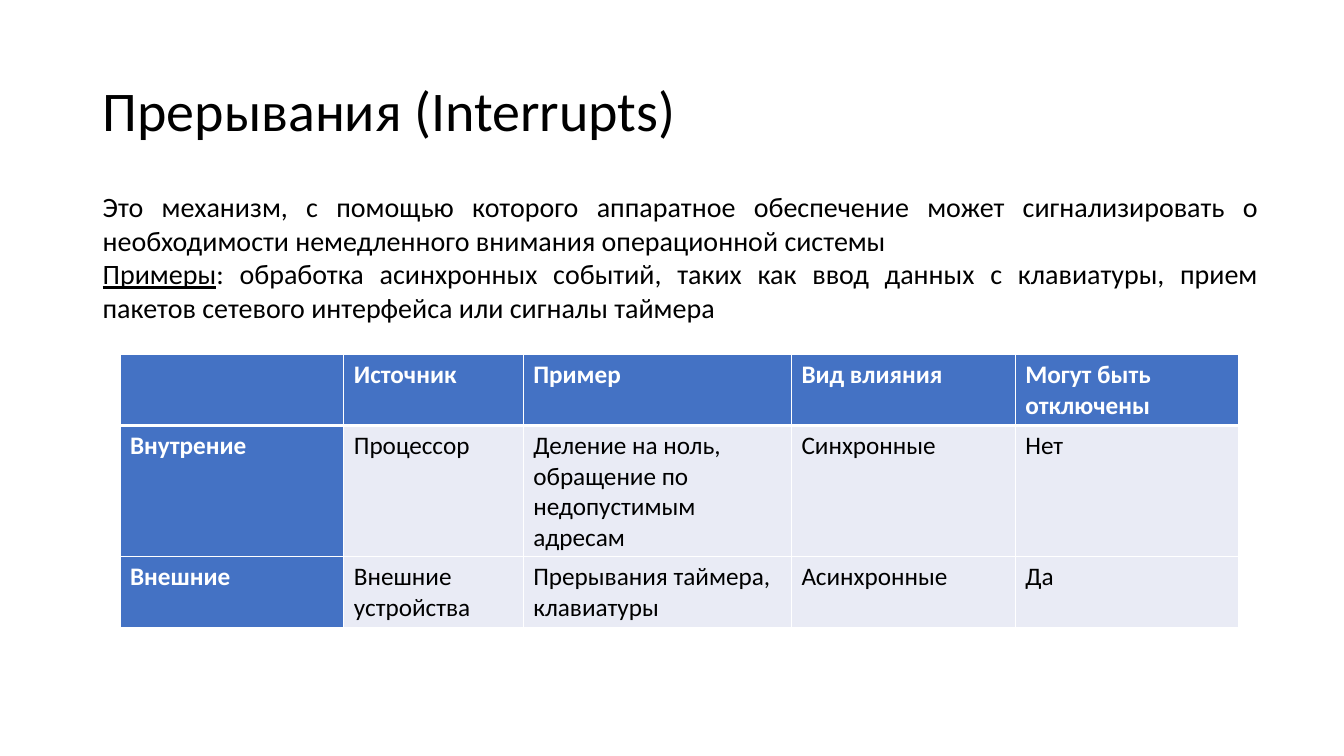
from lxml.etree import SubElement
from pptx import Presentation
from pptx.dml.color import RGBColor
from pptx.enum.text import MSO_ANCHOR, MSO_AUTO_SIZE, PP_ALIGN
from pptx.oxml.ns import qn
from pptx.util import Pt

EMU_PER_PX = 9144  # 100 px to the inch
BLACK, WHITE, BLUE, PALE = "000000", "FFFFFF", "4472C4", "E9EBF5"

DEFINITION = [
    [("Это механизм, с помощью которого аппаратное обеспечение может "
      "сигнализировать о необходимости немедленного внимания операционной системы", False)],
    [("Примеры", True),
     (": обработка асинхронных событий, таких как ввод данных с клавиатуры, "
      "прием пакетов сетевого интерфейса или сигналы таймера", False)],
]
INTERRUPT_ROWS = [
    ["", "Источник", "Пример", "Вид влияния", "Могут быть отключены"],
    ["Внутрение", "Процессор", "Деление на ноль, обращение по недопустимым адресам",
     "Синхронные", "Нет"],
    ["Внешние", "Внешние устройства", "Прерывания таймера, клавиатуры",
     "Асинхронные", "Да"],
]
COLUMN_WIDTHS = [222, 178, 266, 222, 222]
ROW_HEIGHTS = [70, 130, 70]


def px(length):
    return length * EMU_PER_PX


def color(hex_string):
    return RGBColor.from_string(hex_string)


def add_text(paragraph, text, size=18, ink=BLACK, bold=False, underline=False):
    run = paragraph.add_run()
    run.text = text
    font = run.font
    font.name, font.size = "Calibri", Pt(size)
    font.bold, font.underline = bold, underline
    font.color.rgb = color(ink)


def add_border(cell, side, points):
    line = SubElement(cell._tc.get_or_add_tcPr(), qn(f"a:ln{side}"), w=str(Pt(points)))
    fill = SubElement(line, qn("a:solidFill"))
    SubElement(fill, qn("a:srgbClr"), val=WHITE)


class SlideBuilder:
    def __init__(self, presentation):
        self.slide = presentation.slides.add_slide(presentation.slide_layouts[5])

    def title(self, text, left, top, width, height):
        shape = self.slide.shapes.title
        shape.left, shape.top, shape.width, shape.height = map(px, (left, top, width, height))
        shape.text_frame.vertical_anchor = MSO_ANCHOR.MIDDLE
        paragraph = shape.text_frame.paragraphs[0]
        paragraph.alignment = PP_ALIGN.LEFT
        paragraph.line_spacing = 0.9
        add_text(paragraph, text, size=40)

    def justified_text(self, paragraphs, left, top, width, height):
        box = self.slide.shapes.add_textbox(*map(px, (left, top, width, height)))
        frame = box.text_frame
        frame.word_wrap = True
        frame.auto_size = MSO_AUTO_SIZE.SHAPE_TO_FIT_TEXT
        for index, parts in enumerate(paragraphs):
            paragraph = frame.add_paragraph() if index else frame.paragraphs[0]
            paragraph.alignment = PP_ALIGN.JUSTIFY
            for text, underline in parts:
                add_text(paragraph, text, size=20, underline=underline)

    def table(self, rows, left, top, widths, heights):
        frame = self.slide.shapes.add_table(
            len(rows), len(widths), px(left), px(top), px(sum(widths)), px(sum(heights)))
        table = frame.table
        table.first_col = True
        for column, width in zip(table.columns, widths):
            column.width = px(width)
        for row, height in zip(table.rows, heights):
            row.height = px(height)
        for row_index, texts in enumerate(rows):
            for column_index, text in enumerate(texts):
                self.cell(table.cell(row_index, column_index), text, row_index,
                          is_heading=row_index == 0 or column_index == 0)

    def cell(self, cell, text, row_index, is_heading):
        # A thicker rule separates the header row from the rows below
        borders = {"L": 1, "R": 1, "T": 3 if row_index == 1 else 1,
                   "B": 3 if row_index == 0 else 1}
        for side, points in borders.items():
            add_border(cell, side, points)
        cell.fill.solid()
        cell.fill.fore_color.rgb = color(BLUE if is_heading else PALE)
        if text:
            add_text(cell.text_frame.paragraphs[0], text,
                     ink=WHITE if is_heading else BLACK, bold=is_heading)


def main():
    presentation = Presentation()
    presentation.slide_width, presentation.slide_height = px(1333), px(750)
    builder = SlideBuilder(presentation)

    # Heading and definition
    builder.title("Прерывания (Interrupts)", 92, 40, 1150, 145)
    builder.justified_text(DEFINITION, 92, 183, 1166, 145)

    # Comparison of interrupt kinds
    builder.table(INTERRUPT_ROWS, 119, 352, COLUMN_WIDTHS, ROW_HEIGHTS)

    presentation.save("out.pptx")


if __name__ == "__main__":
    main()
